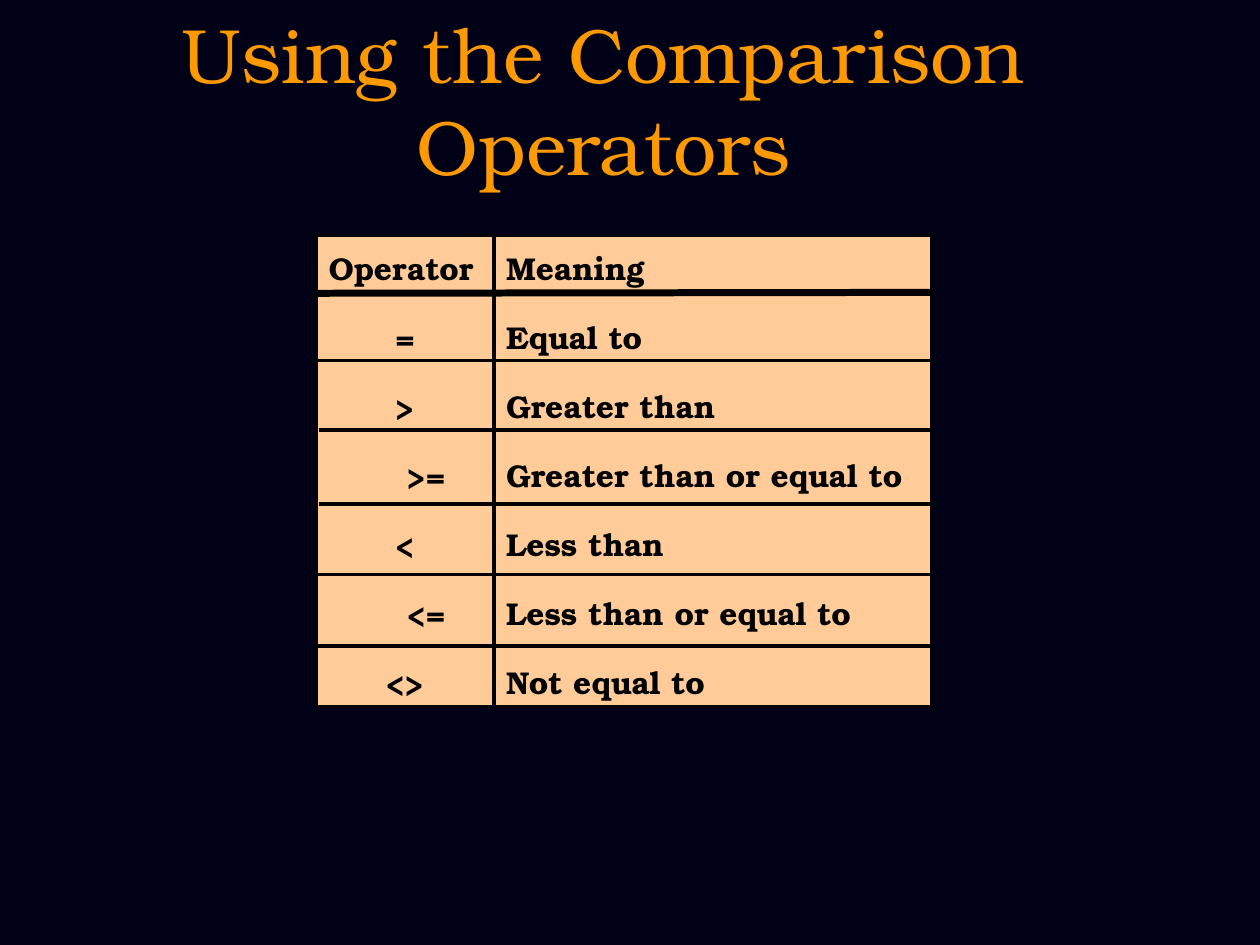
"""Build a slide with a ruled two-column list of the comparison operators."""
import dataclasses

import lxml.etree
import pptx
import pptx.dml.color
import pptx.enum.shapes
import pptx.enum.text
import pptx.oxml.ns
import pptx.util

Pt = pptx.util.Pt
Align = pptx.enum.text.PP_ALIGN
Anchor = pptx.enum.text.MSO_ANCHOR

FONT = "TeX Gyre Bonum"
NAVY, ORANGE, PEACH, BLACK = "000016", "FF9900", "FFCC99", "000000"
COLUMN_TOP, COLUMN_HEIGHT = 134.6, 269.3
WIDE_INDENT = 24


@dataclasses.dataclass(frozen=True)
class Column:
    left: float
    width: float
    heading: str
    entries: tuple[str, ...]
    alignment: Align
    indented: tuple[str, ...] = ()


@dataclasses.dataclass(frozen=True)
class Rule:
    left: float
    right: float
    start_y: float
    end_y: float
    weight: float = 2


COLUMNS = (
    Column(180.7, 101.5, "Operator", ("=", ">", ">=", "<", "<=", "<>"),
           Align.CENTER, (">=", "<=")),
    Column(282.2, 250.3, "Meaning",
           ("Equal to", "Greater than", "Greater than or equal to",
            "Less than", "Less than or equal to", "Not equal to"), Align.LEFT),
)

RULES = (
    Rule(180.7, 532.1, 167.6, 167.1, 4),
    Rule(180.7, 532.1, 205.9, 205.9),
    Rule(182.2, 532.1, 245.7, 245.7),
    Rule(182.2, 532.1, 288, 288),
    Rule(180, 532.8, 328.4, 328.4),
    Rule(181.4, 532.1, 369.2, 369.2),
)


def color(value: str) -> pptx.dml.color.RGBColor:
    return pptx.dml.color.RGBColor.from_string(value)


def add_text(paragraph, text: str, size: float, text_color: str,
             alignment: Align, bold: bool = False) -> None:
    paragraph.alignment = alignment
    run = paragraph.add_run()
    run.text = text
    run.font.name = FONT
    run.font.size = Pt(size)
    run.font.bold = bold
    run.font.color.rgb = color(text_color)


def add_title(slide, text: str) -> None:
    frame = slide.shapes.add_textbox(0, 0, Pt(689.8), Pt(113.4)).text_frame
    frame.word_wrap = True
    frame.vertical_anchor = Anchor.TOP
    add_text(frame.paragraphs[0], text, 44, ORANGE, Align.CENTER)


def add_column(slide, column: Column) -> None:
    shape = slide.shapes.add_shape(
        pptx.enum.shapes.MSO_SHAPE.RECTANGLE, Pt(column.left), Pt(COLUMN_TOP),
        Pt(column.width), Pt(COLUMN_HEIGHT))
    shape.shadow.inherit = False
    shape.fill.solid()
    shape.fill.fore_color.rgb = color(PEACH)
    shape.line.color.rgb = color(BLACK)
    shape.line.width = Pt(2)
    frame = shape.text_frame
    frame.word_wrap = True
    frame.vertical_anchor = Anchor.TOP
    heading = frame.paragraphs[0]
    heading.line_spacing = 1.2
    add_text(heading, column.heading, 18, BLACK, Align.LEFT, bold=True)
    for entry in column.entries:
        paragraph = frame.add_paragraph()
        paragraph.line_spacing = 1.2
        paragraph.space_before = Pt(13.5)
        if entry in column.indented:
            paragraph._p.get_or_add_pPr().set("marL", str(Pt(WIDE_INDENT)))
        add_text(paragraph, entry, 18, BLACK, column.alignment, bold=True)


def add_rule(slide, rule: Rule) -> None:
    connector = slide.shapes.add_connector(
        pptx.enum.shapes.MSO_CONNECTOR.STRAIGHT,
        Pt(rule.left), Pt(rule.start_y), Pt(rule.right), Pt(rule.end_y))
    connector.line.color.rgb = color(BLACK)
    connector.line.width = Pt(rule.weight)
    lxml.etree.SubElement(connector._element.spPr, pptx.oxml.ns.qn("a:effectLst"))


def main() -> None:
    presentation = pptx.Presentation()
    presentation.slide_width, presentation.slide_height = Pt(720), Pt(540)
    slide = presentation.slides.add_slide(presentation.slide_layouts[6])
    slide.background.fill.solid()
    slide.background.fill.fore_color.rgb = color(NAVY)
    add_title(slide, "Using the Comparison Operators")
    for column in COLUMNS:
        add_column(slide, column)
    for rule in RULES:
        add_rule(slide, rule)
    presentation.save("out.pptx")


if __name__ == "__main__":
    main()
